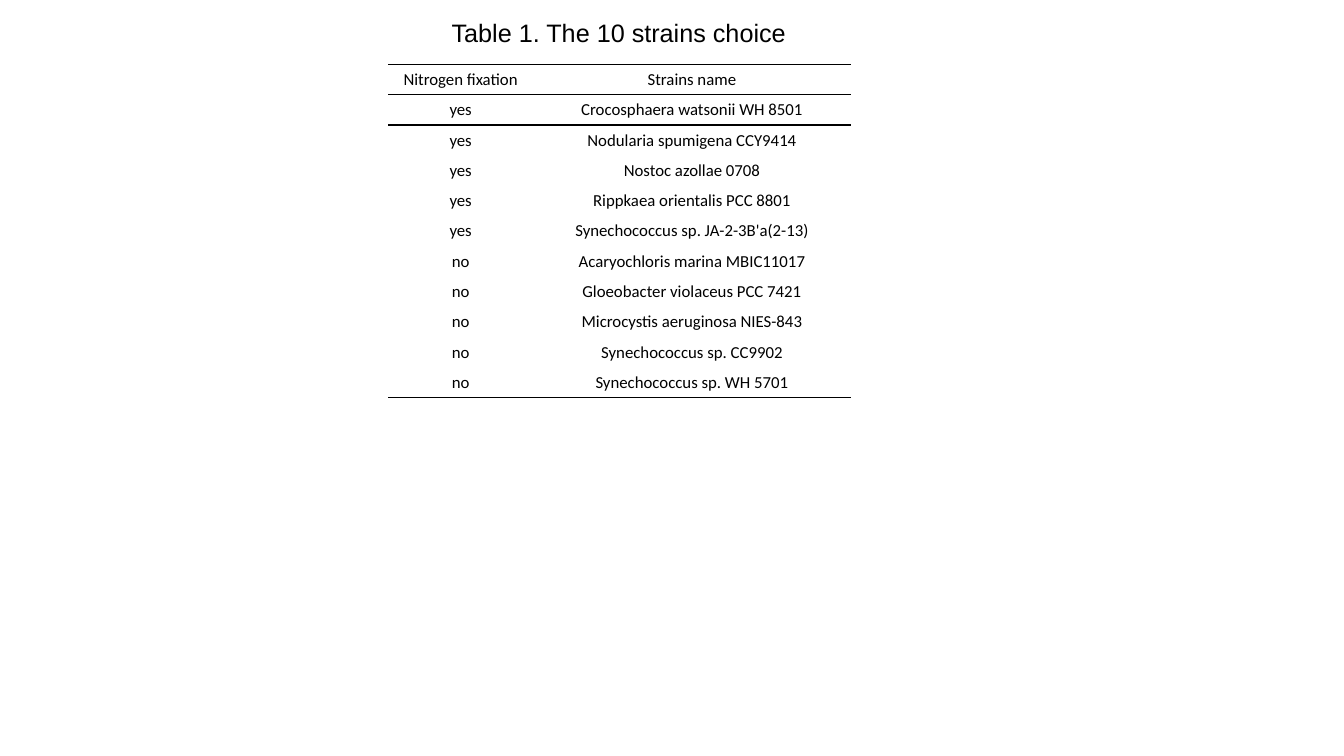
from lxml.etree import SubElement
from pptx import Presentation
from pptx.dml.color import RGBColor
from pptx.enum.text import MSO_ANCHOR, MSO_AUTO_SIZE, PP_ALIGN
from pptx.oxml.ns import qn
from pptx.util import Pt

STRAINS = [
    ("Nitrogen fixation", "Strains name"),
    ("yes", "Crocosphaera watsonii WH 8501"),
    ("yes", "Nodularia spumigena CCY9414"),
    ("yes", "Nostoc azollae 0708"),
    ("yes", "Rippkaea orientalis PCC 8801"),
    ("yes", "Synechococcus sp. JA-2-3B'a(2-13)"),
    ("no", "Acaryochloris marina MBIC11017"),
    ("no", "Gloeobacter violaceus PCC 7421"),
    ("no", "Microcystis aeruginosa NIES-843"),
    ("no", "Synechococcus sp. CC9902"),
    ("no", "Synechococcus sp. WH 5701"),
]


def colour(value):
    return RGBColor.from_string(value)


class StrainPage:
    """Holds the style and the current slide, and adds elements to it."""

    ink = "000000"
    title_font, title_size = "Arial", 18
    table_font, table_size = "Calibri", 12
    rule_width = 1

    def __init__(self, deck):
        self.page = deck.slides.add_slide(deck.slide_layouts[5])

    def add_span(self, para, text, font, size):
        span = para.add_run()
        span.text = text
        span.font.name = font
        span.font.size = Pt(size)
        span.font.color.rgb = colour(self.ink)

    def add_title(self, text, left, top, width, height):
        box = self.page.shapes.title
        box.left, box.top, box.width, box.height = map(Pt, (left, top, width, height))
        frame = box.text_frame
        frame.word_wrap = True
        frame.auto_size = MSO_AUTO_SIZE.SHAPE_TO_FIT_TEXT
        frame.vertical_anchor = MSO_ANCHOR.TOP
        para = frame.paragraphs[0]
        para.alignment = PP_ALIGN.LEFT
        self.add_span(para, text, self.title_font, self.title_size)

    def rule_cell(self, cell, ruled_sides):
        properties = cell._tc.get_or_add_tcPr()
        for side in "LRTB":
            line = SubElement(properties, qn(f"a:ln{side}"), w=str(Pt(self.rule_width)))
            if side in ruled_sides:
                fill = SubElement(line, qn("a:solidFill"))
                SubElement(fill, qn("a:srgbClr"), val=self.ink)
            else:
                SubElement(line, qn("a:noFill"))

    def add_table(self, rows, left, top, column_widths, row_height, ruled_rows):
        frame = self.page.shapes.add_table(
            len(rows), len(column_widths), Pt(left), Pt(top),
            Pt(sum(column_widths)), Pt(row_height * len(rows)))
        table = frame.table
        table.first_row = table.horz_banding = False
        for column, width in zip(table.columns, column_widths):
            column.width = Pt(width)
        for row_index, row in enumerate(rows):
            sides = ruled_rows.get(row_index, "")
            for column_index, text in enumerate(row):
                cell = table.cell(row_index, column_index)
                self.rule_cell(cell, sides)
                cell.fill.background()
                para = cell.text_frame.paragraphs[0]
                para.alignment = PP_ALIGN.CENTER
                self.add_span(para, text, self.table_font, self.table_size)


def main():
    deck = Presentation()
    deck.slide_width, deck.slide_height = Pt(960), Pt(540)
    strain_page = StrainPage(deck)
    strain_page.add_table(
        STRAINS, left=277.2, top=46.1, column_widths=(103.7, 226.8), row_height=21,
        ruled_rows={0: "TB", 1: "TB", 2: "T", len(STRAINS) - 1: "B"})
    strain_page.add_title(
        "Table 1. The 10 strains choice", left=315.4, top=8.6, width=479.5, height=28.8)
    deck.save("out.pptx")


if __name__ == "__main__":
    main()
